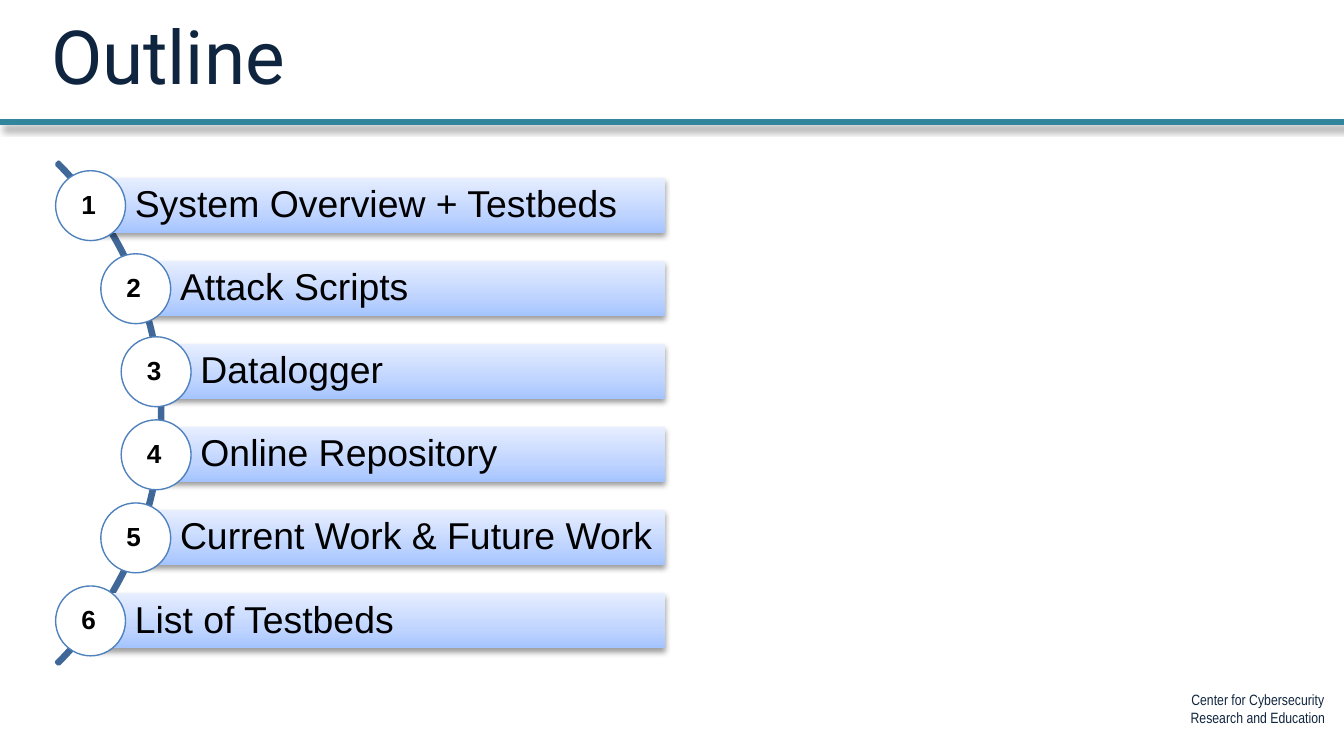
from copy import deepcopy
from math import sqrt

from lxml.etree import SubElement
from pptx import Presentation
from pptx.dml.color import RGBColor
from pptx.enum.shapes import MSO_CONNECTOR, MSO_SHAPE
from pptx.enum.text import MSO_ANCHOR, MSO_AUTO_SIZE, PP_ALIGN
from pptx.oxml.ns import qn
from pptx.util import Inches, Pt

TITLE = "Outline"
TOPICS = [
    "System Overview + Testbeds",
    "Attack Scripts",
    "Datalogger",
    "Online Repository",
    "Current Work & Future Work",
    "List of Testbeds",
]
FOOTER = ["Center for Cybersecurity", "Research and Education"]
BAR_GRADIENT = [(0, "A4C4FF"), (0.35, "BFD4FF"), (1, "E6EEFF")]

SLIDE_WIDTH = 10
SLIDE_HEIGHT = SLIDE_WIDTH * 9 / 16
FIRST_ROW, LAST_ROW = 1.53, 4.62    # centres of the outer rows
ROW_PITCH = (LAST_ROW - FIRST_ROW) / (len(TOPICS) - 1)
ARC_X, ARC_Y = -1.43, (FIRST_ROW + LAST_ROW) / 2
ARC_RADIUS = 2.64
CIRCLE_TRACK = 2.61                 # radius on which the circle centres sit
BAR_RIGHT, BAR_HEIGHT = 4.95, 0.41
CIRCLE_SIZE = 0.52


def color(hex_string):
    return RGBColor.from_string(hex_string)


def write(shape, lines, size, font, ink="000000", bold=False, align=PP_ALIGN.LEFT,
          anchor=MSO_ANCHOR.TOP, margins=(0.1, 0.05, 0.1, 0.05), wrap=True, spacing=None):
    frame = shape.text_frame
    frame.word_wrap = wrap
    frame.auto_size = MSO_AUTO_SIZE.NONE
    frame.vertical_anchor = anchor
    (frame.margin_left, frame.margin_top,
     frame.margin_right, frame.margin_bottom) = map(Inches, margins)
    frame.text = "\n".join(lines)
    for paragraph in frame.paragraphs:
        paragraph.alignment = align
        paragraph.line_spacing = spacing
        paragraph.font.size = Pt(size)
        paragraph.font.name = font
        paragraph.font.bold = bold
        paragraph.font.color.rgb = color(ink)


def set_shadow(shape, opacity=0, blur=0, distance=0, angle=0):
    """Clear the theme shadow; with an opacity, cast a black one instead."""
    properties = shape._element.spPr
    effects = properties.find(qn("a:effectLst"))
    if effects is None:
        effects = SubElement(properties, qn("a:effectLst"))
    if opacity:
        outer = SubElement(effects, qn("a:outerShdw"), blurRad=str(Pt(blur)),
                           dist=str(Pt(distance)), dir=str(angle * 60000),
                           algn="tl", rotWithShape="0")
        black = SubElement(outer, qn("a:srgbClr"), val="000000")
        SubElement(black, qn("a:alpha"), val=str(opacity * 1000))


def add_shape(slide, kind, left, top, width, height, fill=None, line=None, weight=1):
    shape = slide.shapes.add_shape(kind, *map(Inches, (left, top, width, height)))
    if fill:
        shape.fill.solid()
        shape.fill.fore_color.rgb = color(fill)
    if line:
        shape.line.color.rgb = color(line)
        shape.line.width = Pt(weight)
    else:
        shape.line.fill.background()
    set_shadow(shape)
    return shape


def fill_gradient(shape, stops):
    shape.fill.gradient()
    shape.fill.gradient_angle = 90
    stop_list = shape._element.spPr.find(qn("a:gradFill")).find(qn("a:gsLst"))
    while len(stop_list) < len(stops):
        stop_list.append(deepcopy(stop_list[-1]))
    for stop, (position, hex_string) in zip(shape.fill.gradient_stops, stops):
        stop.position = position
        stop.color.rgb = color(hex_string)


def add_header(slide):
    rule = slide.shapes.add_connector(MSO_CONNECTOR.STRAIGHT, 0, Inches(0.91),
                                      Inches(SLIDE_WIDTH), Inches(0.91))
    rule.line.color.rgb = color("31859C")
    rule.line.width = Pt(3)
    set_shadow(rule, opacity=40, blur=4, distance=3, angle=45)

    title = slide.shapes.title
    title.left, title.top, title.width, title.height = map(Inches, (0.28, 0.02, 2.08, 0.77))
    write(title, [TITLE], 40, "Roboto", ink="0F243E", wrap=False)


def add_topics(slide):
    arc = add_shape(slide, MSO_SHAPE.BLOCK_ARC, ARC_X - ARC_RADIUS, ARC_Y - ARC_RADIUS,
                    2 * ARC_RADIUS, 2 * ARC_RADIUS, fill="3F6797", line="3F6797", weight=2)
    for index, value in enumerate((189, 27, 0.004)):
        arc.adjustments[index] = value

    for index, topic in enumerate(TOPICS):
        y = FIRST_ROW + index * ROW_PITCH
        x = ARC_X + sqrt(CIRCLE_TRACK ** 2 - (y - ARC_Y) ** 2)

        bar = add_shape(slide, MSO_SHAPE.RECTANGLE, x, y - BAR_HEIGHT / 2,
                        BAR_RIGHT - x, BAR_HEIGHT)
        fill_gradient(bar, BAR_GRADIENT)
        set_shadow(bar, opacity=38, blur=3.1, distance=1.6, angle=90)
        write(bar, [topic], 20, "Arial", anchor=MSO_ANCHOR.MIDDLE,
              margins=(0.33, 0.06, 0.06, 0.06), spacing=0.9)

        circle = add_shape(slide, MSO_SHAPE.OVAL, x - CIRCLE_SIZE / 2, y - CIRCLE_SIZE / 2,
                           CIRCLE_SIZE, CIRCLE_SIZE, fill="FFFFFF", line="4F81BD", weight=0.75)
        write(circle, [str(index + 1)], 14, "Arial", bold=True, align=PP_ALIGN.CENTER,
              anchor=MSO_ANCHOR.MIDDLE, margins=(0, 0, 0.03, 0.02))


def add_footer(slide):
    footer = slide.shapes.add_textbox(*map(Inches, (8.72, 5.09, 1.28, 0.37)))
    write(footer, FOOTER, 8, "Arial Narrow", ink="10253F", align=PP_ALIGN.CENTER, wrap=False)


def main():
    deck = Presentation()
    deck.slide_width, deck.slide_height = Inches(SLIDE_WIDTH), Inches(SLIDE_HEIGHT)
    slide = deck.slides.add_slide(deck.slide_layouts[5])
    add_header(slide)
    add_topics(slide)
    add_footer(slide)
    deck.save("out.pptx")


if __name__ == "__main__":
    main()
